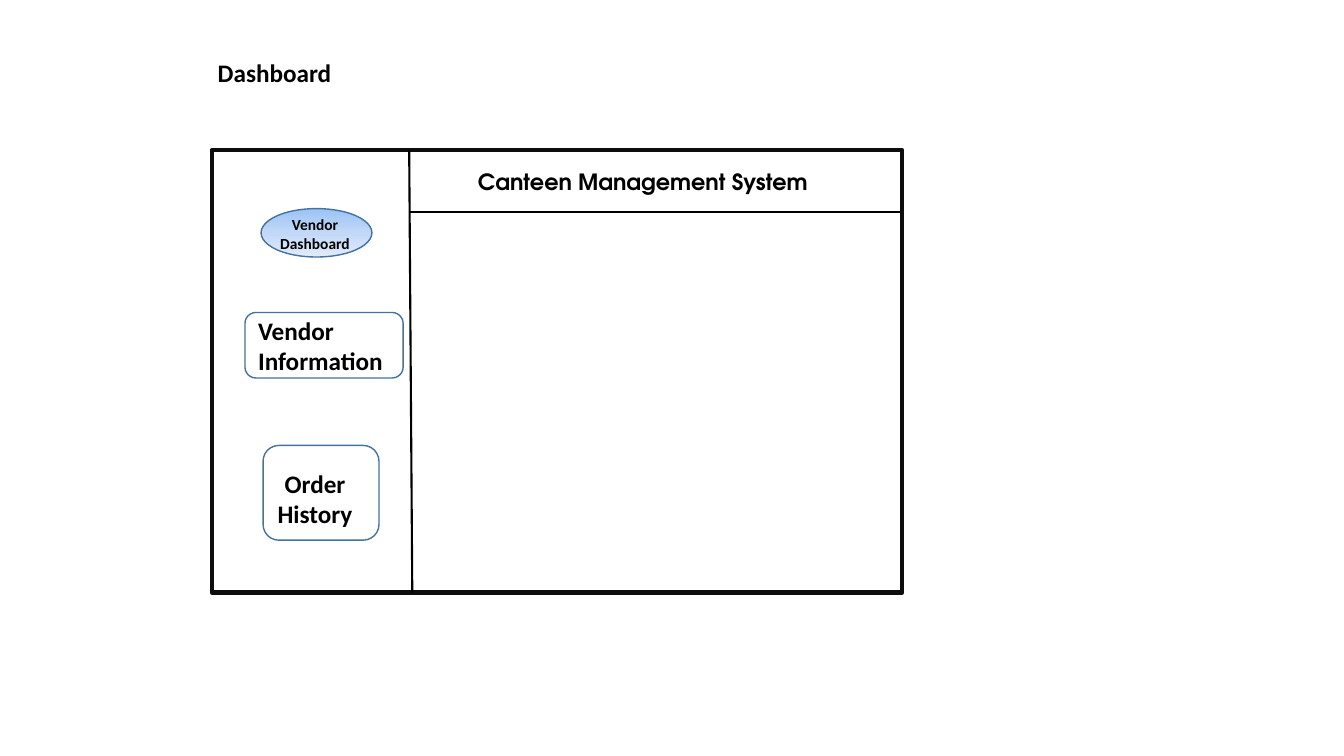
from copy import deepcopy
from pptx import Presentation
from pptx.dml.color import RGBColor
from pptx.enum.shapes import MSO_CONNECTOR, MSO_SHAPE
from pptx.enum.text import MSO_ANCHOR, PP_ALIGN
from pptx.oxml.ns import qn
from pptx.util import Pt

OVAL, ROUNDED, RECTANGLE = MSO_SHAPE.OVAL, MSO_SHAPE.ROUNDED_RECTANGLE, MSO_SHAPE.RECTANGLE
STRAIGHT = MSO_CONNECTOR.STRAIGHT
TOP, MIDDLE = MSO_ANCHOR.TOP, MSO_ANCHOR.MIDDLE
LEFT, CENTER = PP_ALIGN.LEFT, PP_ALIGN.CENTER

COLORS = {"ink": "000000", "frame": "0D0D0D", "outline": "43739E"}
BADGE_GRADIENT = ["9AC3F5", "C2D8F8", "E1EBFB"]
BODY_FONT, HEADER_FONT = "Calibri", "TeX Gyre Adventor"

# Content: words and boxes as left, top, width, height
PAGE_TITLE = ("Dashboard", (148.3, 36, 96.5, 31))
SYSTEM_NAME = ("Canteen Management System", (341.4, 112, 270, 36))
BADGE_LABEL = (["Vendor", "Dashboard"], (190.8, 149, 68.4, 35.3))
BADGE_BOX = (186.5, 149, 79.2, 34.6)
# Menu buttons: label, box, first-line indent, top inset
MENU = [
    ("Vendor Information", (175, 223.2, 113, 46.8), 0, 3.6),
    ("Order History", (187.9, 318.2, 82.8, 67.7), 5, 12),
]
FRAME = (151.2, 107.3, 493.2, 316)
DIVIDERS = [
    ((293, 151.2), (643, 151.2)),
    ((292.3, 107.3), (294.5, 423.3)),
]

prs = Presentation()
prs.slide_width, prs.slide_height = Pt(960), Pt(540)
slide = prs.slides.add_slide(prs.slide_layouts[5])


def rgb(name):
    return RGBColor.from_string(COLORS[name])


def write(shape, lines, size, font=BODY_FONT, align=LEFT, anchor=MIDDLE):
    frame = shape.text_frame
    frame.word_wrap = True
    frame.vertical_anchor = anchor
    paragraph = frame.paragraphs[0]
    paragraph.alignment = align
    for index, line in enumerate(lines):
        if index:
            paragraph.add_line_break()
        run = paragraph.add_run()
        run.text = line
        run.font.size, run.font.name, run.font.bold = Pt(size), font, True
        run.font.color.rgb = rgb("ink")
    return paragraph


def outlined(kind, box, color="outline", weight=1):
    shape = slide.shapes.add_shape(kind, *map(Pt, box))
    shape.shadow.inherit = False
    shape.fill.background()
    shape.line.color.rgb = rgb(color)
    shape.line.width = Pt(weight)
    return shape


# Page title
words, box = PAGE_TITLE
title = slide.shapes.title
title.left, title.top, title.width, title.height = map(Pt, box)
write(title, [words], 18)

# Vendor badge
badge = outlined(OVAL, BADGE_BOX)
badge.fill.gradient()
badge.fill.gradient_angle = 270
stop_list = badge.fill._fill._gradFill.find(qn("a:gsLst"))
stop_list.insert(1, deepcopy(stop_list[0]))
for index, (stop, color) in enumerate(zip(badge.fill.gradient_stops, BADGE_GRADIENT)):
    stop.color.rgb = RGBColor.from_string(color)
    stop.position = index / 2

# Menu buttons
for label, box, indent, top_inset in MENU:
    button = outlined(ROUNDED, box)
    button.text_frame.margin_top = Pt(top_inset)
    paragraph = write(button, [label], 18)
    paragraph._p.get_or_add_pPr().set("indent", str(Pt(indent)))

# Window frame and dividers
outlined(RECTANGLE, FRAME, "frame", 3)
for start, end in DIVIDERS:
    divider = slide.shapes.add_connector(STRAIGHT, *map(Pt, start + end))
    divider.line.color.rgb = rgb("ink")
    divider.line.width = Pt(1.5)
    properties = divider._element.spPr
    properties.append(properties.makeelement(qn("a:effectLst"), {}))

# Badge label
lines, box = BADGE_LABEL
label = slide.shapes.add_textbox(*map(Pt, box))
paragraph = write(label, lines, 11, align=CENTER, anchor=TOP)
paragraph.line_spacing = 1.06
paragraph.space_after = Pt(8)

# Window header
words, box = SYSTEM_NAME
header = slide.shapes.add_textbox(*map(Pt, box))
header.text_frame.margin_left = 0
write(header, [words], 16, font=HEADER_FONT)

prs.save("out.pptx")
